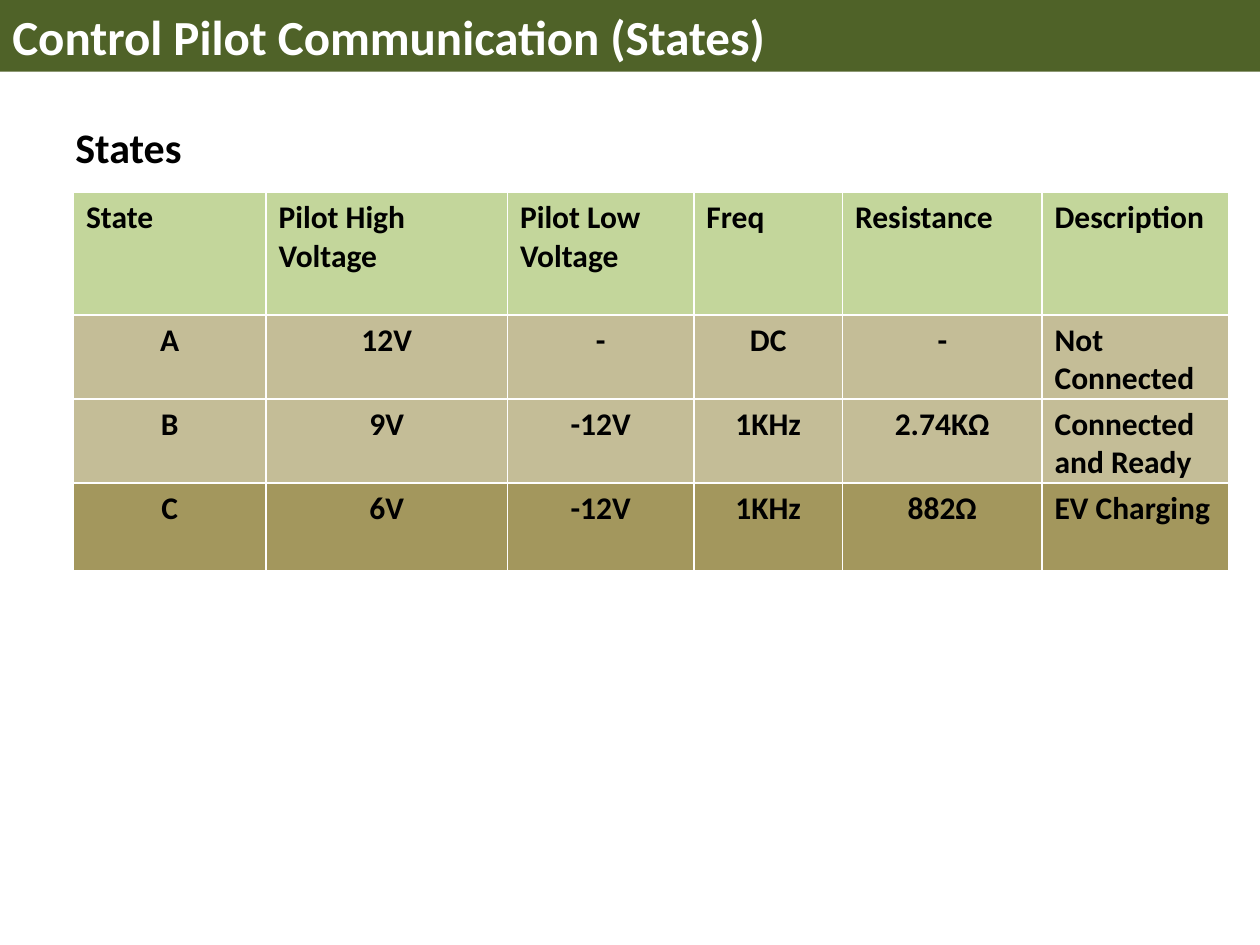
from dataclasses import dataclass

from pptx import Presentation
from pptx.dml.color import RGBColor
from pptx.enum import shapes, text
from pptx.util import Pt


@dataclass(frozen=True)
class Theme:
    font: str = "Calibri"
    bar: str = "4F6228"
    head: str = "C3D69B"
    idle: str = "C4BD97"
    live: str = "A3975D"
    ink: str = "000000"
    pale: str = "FFFFFF"
    title: int = 28
    label: int = 24
    body: int = 18


THEME = Theme()
COLS = (110, 138, 106.5, 85, 114, 106.5)
HEAD = ("State", "Pilot High Voltage", "Pilot Low Voltage",
        "Freq", "Resistance", "Description")
STATES = (
    (("A", "12V", "-", "DC", "-", "Not Connected"), THEME.idle),
    (("B", "9V", "-12V", "1KHz", "2.74KΩ", "Connected and Ready"), THEME.idle),
    (("C", "6V", "-12V", "1KHz", "882Ω", "EV Charging"), THEME.live),
)


def paint(item, color):
    item.fill.solid()
    item.fill.fore_color.rgb = RGBColor.from_string(color)


def write(frame, words, size, color, align=text.PP_ALIGN.LEFT):
    frame.word_wrap = True
    para = frame.paragraphs[0]
    para.alignment = align
    run = para.add_run()
    run.text = words
    run.font.name = THEME.font
    run.font.size = Pt(size)
    run.font.bold = True
    run.font.color.rgb = RGBColor.from_string(color)


def add_title(slide, box, words):
    bar = slide.shapes.add_shape(shapes.MSO_SHAPE.RECTANGLE, *map(Pt, box))
    bar.shadow.inherit = False
    bar.line.fill.background()
    paint(bar, THEME.bar)
    bar.text_frame.vertical_anchor = text.MSO_ANCHOR.MIDDLE
    write(bar.text_frame, words, THEME.title, THEME.pale)


def add_label(slide, box, words):
    label = slide.shapes.add_textbox(*map(Pt, box))
    write(label.text_frame, words, THEME.label, THEME.ink)


def add_row(slide, box, words, color, align):
    table = slide.shapes.add_table(1, len(COLS), *map(Pt, box)).table
    last = len(COLS) - 1
    for i, (width, word) in enumerate(zip(COLS, words)):
        table.columns[i].width = Pt(width)
        cell = table.cell(0, i)
        paint(cell, color)
        side = text.PP_ALIGN.LEFT if i == last else align
        write(cell.text_frame, word, THEME.body, THEME.ink, side)


def add_states(slide, box):
    left, top, width, height = box
    head, row, step = 72, 50, 48
    first = top + height - row - step * (len(STATES) - 1)
    add_row(slide, (left, top, width, head), HEAD, THEME.head,
            text.PP_ALIGN.LEFT)
    for i, (words, color) in enumerate(STATES):
        add_row(slide, (left, first + i * step, width, row), words, color,
                text.PP_ALIGN.CENTER)


def main():
    deck = Presentation()
    deck.slide_width, deck.slide_height = Pt(720), Pt(540)
    slide = deck.slides.add_slide(deck.slide_layouts[6])
    add_title(slide, (0, 0, 720, 41), "Control Pilot Communication (States)")
    add_label(slide, (36, 66, 252, 36), "States")
    add_states(slide, (42, 110, sum(COLS), 216))
    deck.save("out.pptx")


if __name__ == "__main__":
    main()
